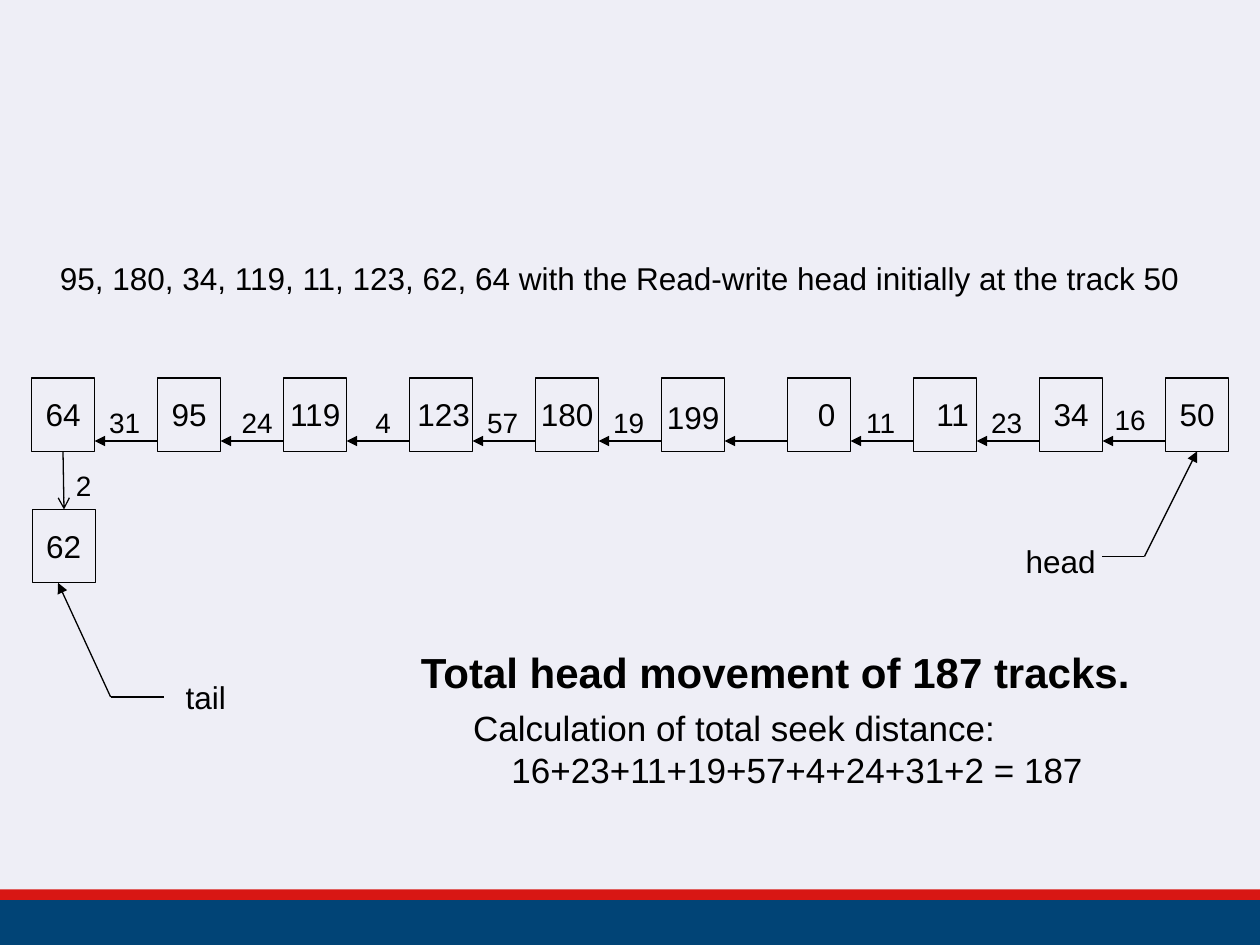
import pptx
import pptx.dml.color
import pptx.enum.shapes
import pptx.enum.text
import pptx.util
from lxml import etree
from pptx.oxml.ns import qn
from pptx.util import Cm

BLACK = pptx.dml.color.RGBColor(0, 0, 0)
PALE = pptx.dml.color.RGBColor(0xEE, 0xEE, 0xF6)
BLUE = pptx.dml.color.RGBColor(0x01, 0x44, 0x76)
RED = pptx.dml.color.RGBColor(0xD8, 0x17, 0x14)

WIDE, HIGH = 25.4, 19.05

# Tracks from tail to head: text, shift right, shift down (cm)
TRACKS = [("64", 0, 0), ("95", 0, 0), ("119", 0, 0), ("123", 0.05, 0),
          ("180", 0, 0), ("199", 0, 0.05), ("0", 0.15, 0), ("11", 0.15, 0),
          ("34", 0, 0), ("50", 0, 0)]
# Seek distance between neighbours; the jump from 199 to 0 has none
SEEKS = [("31", 0, 0), ("24", 0.13, 0), ("4", 0.13, 0), ("57", 0, 0),
         ("19", 0, 0), None, ("11", 0, 0), ("23", 0, 0), ("16", -0.05, -0.05)]
LAST = "62"

# Text, left, top, width, height, size, format
NOTES = [
    (["95, 180, 34, 119, 11, 123, 62, 64 with the Read-write head initially at the track 50"],
     0.89, 5.1, 23.2, 1.02, 18, {}),
    (["head"], 20.42, 10.8, 1.92, 1.02, 18, {}),
    (["tail"], 3.48, 13.54, 1.34, 1.02, 18, {}),
    (["2"], 1.27, 9.33, 0.83, 0.94, 16, {}),
    (["Total head movement of 187 tracks."], 8.2, 12.9, 14.86, 1.27, 24, {"bold": True}),
    (["Calculation of total seek distance:", "16+23+11+19+57+4+24+31+2 = 187"],
     7.49, 14.12, 14.63, 1.96, 20, {}),
]
INDENT = 2.54   # second line of the calculation

PITCH, SIDE, TALL = 2.54, 1.27, 1.48
LEFT, TOP, LOW = 0.64, 7.62, 10.27
RAIL = 8.89     # height of the arrows between the boxes
HEAD, TAIL = (23.07, 11.22), (2.23, 14.05)

# From, to, arrowhead
LINES = [
    ((22.22, HEAD[1]), HEAD, None),
    (HEAD, (24.13, TOP + TALL), "triangle"),
    ((3.3, TAIL[1]), TAIL, None),
    (TAIL, (1.17, LOW + TALL), "triangle"),
    ((1.27, TOP + TALL), (1.29, LOW), "arrow"),
]

deck = pptx.Presentation()
deck.slide_width, deck.slide_height = Cm(WIDE), Cm(HIGH)
slide = deck.slides.add_slide(deck.slide_layouts[6])
slide.background.fill.solid()
slide.background.fill.fore_color.rgb = PALE


def add_band(top, tall, color):
    band = slide.shapes.add_shape(pptx.enum.shapes.MSO_SHAPE.RECTANGLE,
                                  0, Cm(top), Cm(WIDE), Cm(tall))
    band.shadow.inherit = False
    band.fill.solid()
    band.fill.fore_color.rgb = color
    band.line.fill.background()


def add_text(home, lines, left, top, wide, tall, size, style):
    box = home.add_textbox(Cm(left), Cm(top), Cm(wide), Cm(tall))
    frame = box.text_frame
    frame.word_wrap = len(lines) > 1
    frame.auto_size = pptx.enum.text.MSO_AUTO_SIZE.SHAPE_TO_FIT_TEXT
    frame.text = "\n".join(lines)
    form = {"name": "Arial", "size": pptx.util.Pt(size), **style}
    for para in frame.paragraphs:
        para.alignment = pptx.enum.text.PP_ALIGN.CENTER
        for key, value in form.items():
            setattr(para.font, key, value)
        para.font.color.rgb = BLACK
    return frame


def add_track(text, left, top, right=0, down=0):
    """Group a square with its track number."""
    group = slide.shapes.add_group_shape()
    box = group.shapes.add_shape(pptx.enum.shapes.MSO_SHAPE.RECTANGLE,
                                 Cm(left), Cm(top), Cm(SIDE), Cm(TALL))
    box.shadow.inherit = False
    box.fill.background()
    box.line.color.rgb = BLACK
    box.line.width = pptx.util.Pt(0.75)
    wide = 0.53 + 0.36 * len(text)
    add_text(group.shapes, [text], left + (SIDE - wide) / 2 + right,
             top + 0.22 + down, wide, 1.02, 18, {})


def add_line(start, end, tip=None):
    line = slide.shapes.add_connector(
        pptx.enum.shapes.MSO_CONNECTOR.STRAIGHT, *map(Cm, start + end))
    line.line.color.rgb = BLACK
    line.line.width = pptx.util.Pt(0.75)
    if tip:
        etree.SubElement(line.line._get_or_add_ln(), qn("a:tailEnd"), type=tip)
    etree.SubElement(line._element.spPr, qn("a:effectLst"))


add_band(18.14, 0.91, BLUE)
add_band(17.93, 0.21, RED)

for i, (text, right, down) in enumerate(TRACKS):
    add_track(text, LEFT + i * PITCH, TOP, right, down)
add_track(LAST, LEFT + 0.01, LOW)

for i, seek in enumerate(SEEKS):
    edge = LEFT + i * PITCH + SIDE
    add_line((edge + PITCH - SIDE, RAIL), (edge, RAIL), "triangle")
    if seek:
        text, right, down = seek
        wide = 0.52 + 0.32 * len(text)
        add_text(slide.shapes, [text], edge + (PITCH - SIDE - wide) / 2 - 0.03 + right,
                 8.05 + down, wide, 0.94, 16, {})

for line in LINES:
    add_line(*line)

for note in NOTES:
    frame = add_text(slide.shapes, *note)
    for para in frame.paragraphs[1:]:
        para._p.get_or_add_pPr().set("marL", str(Cm(INDENT)))

deck.save("out.pptx")
